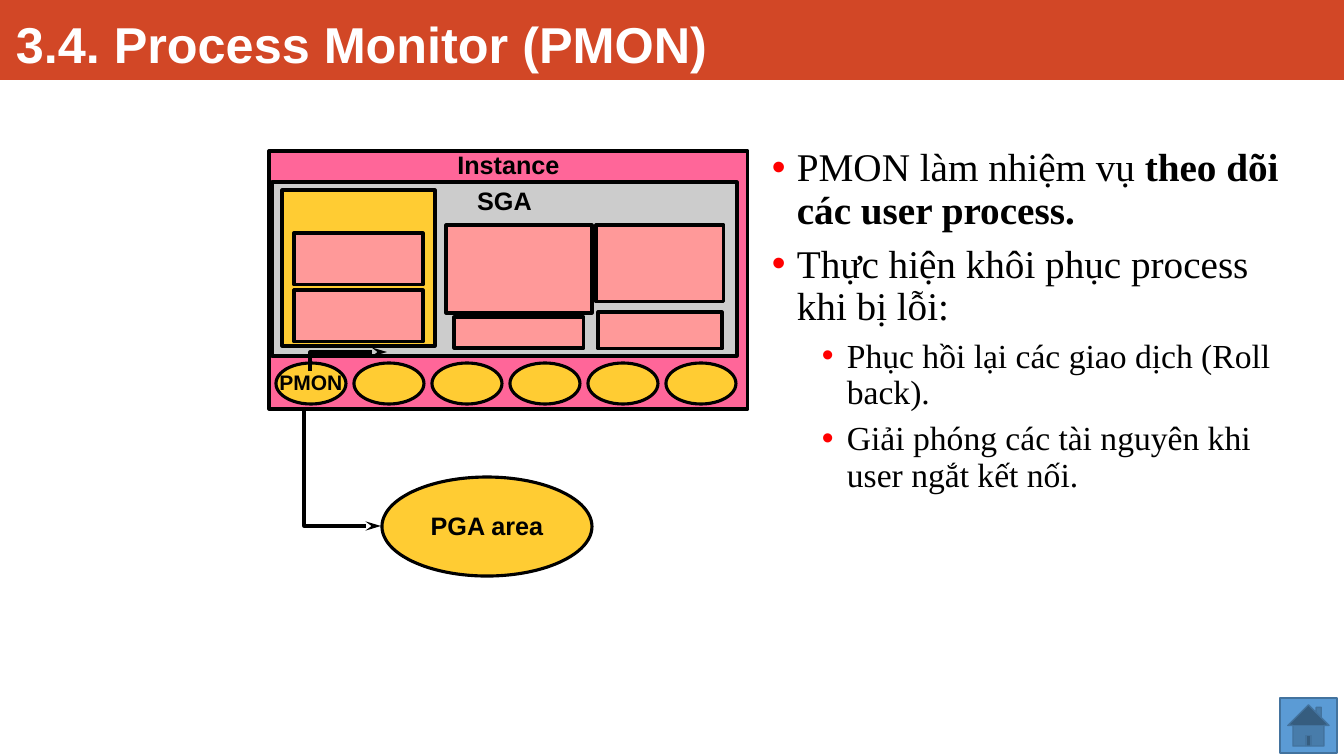
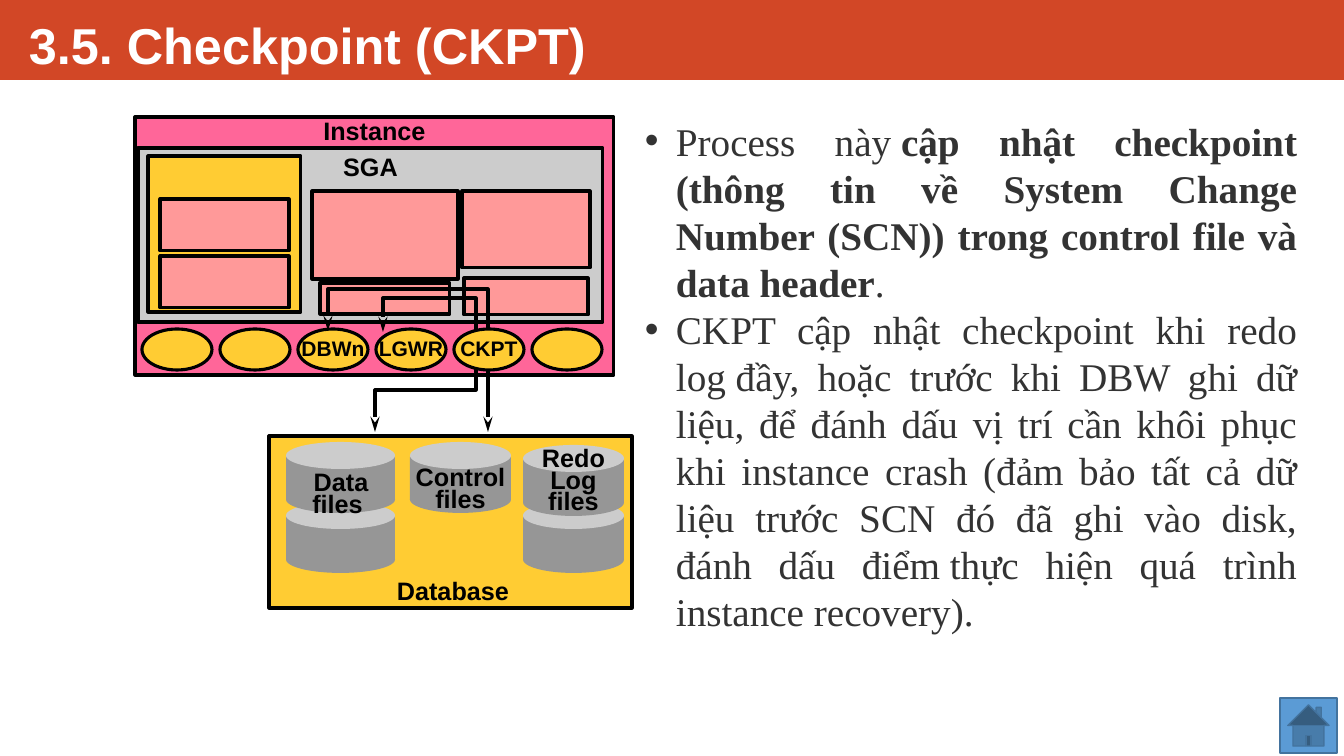
from lxml.etree import SubElement
from pptx import Presentation
from pptx.dml.color import RGBColor
from pptx.enum.shapes import MSO_SHAPE
from pptx.enum.text import MSO_ANCHOR, PP_ALIGN
from pptx.oxml.ns import qn
from pptx.util import Pt

PX = 12192000 / 1344  # EMU per pixel
RECT, OVAL = MSO_SHAPE.RECTANGLE, MSO_SHAPE.OVAL
BLACK, WHITE, YELLOW = "000000", "FFFFFF", "FFCC33"
MAGENTA, PINK, LIGHT, GREY = "FF6699", "FF9999", "CCCCCC", "969696"
OUTLINE = 2.25


def write(p, runs, size, color=BLACK, font="Arial", align=PP_ALIGN.CENTER, spacing=0.95):
    p.alignment, p.line_spacing = align, spacing
    for text, bold in runs:
        r = p.add_run()
        r.text = text
        r.font.name, r.font.size, r.font.bold = font, Pt(size), bold
        r.font.color.rgb = RGBColor.from_string(color)


def draw(s, kind, box, fill, line=BLACK, weight=OUTLINE, label="", size=18, top=None):
    sp = s.shapes.add_shape(kind, *[round(v * PX) for v in box])
    sp.shadow.inherit = False
    sp.fill.solid()
    sp.fill.fore_color.rgb = RGBColor.from_string(fill)
    if line:
        sp.line.color.rgb = RGBColor.from_string(line)
        sp.line.width = Pt(weight)
    else:
        sp.line.fill.background()
    if label:
        tf = sp.text_frame
        tf.word_wrap = False
        tf.margin_left = tf.margin_right = tf.margin_bottom = round(5 * PX)
        tf.margin_top = round((5 if top is None else top) * PX)
        tf.vertical_anchor = MSO_ANCHOR.MIDDLE if top is None else MSO_ANCHOR.TOP
        write(tf.paragraphs[0], [(label, True)], size)


prs = Presentation()
prs.slide_width, prs.slide_height = round(1344 * PX), round(756 * PX)

# Each body paragraph: runs, size, text indent
pages = [
    dict(
        title="3.4. Process Monitor (PMON)", title_box=(6, 0, 1075, 79),
        instance=(269, 151), processes=["PMON", "", "", "", "", ""],
        routes=[(["tailEnd"], [(304, 411), (304, 526), (381, 526)]),
                (["tailEnd"], [(310, 371), (310, 352), (387, 352)])],
        body_box=(762, 143, 548, 365), color=BLACK, bullet="FF0000", hang=25,
        align=PP_ALIGN.LEFT, spacing=0.9, before=0.3,
        body=[
            ([("PMON làm nhiệm vụ\u00a0", False), ("theo dõi các user process.", True)], 28, 25),
            ([("Thực hiện khôi phục process khi bị lỗi:", False)], 28, 25),
            ([("Phục hồi lại các giao dịch (Roll back).", False)], 24, 75),
            ([("Giải phóng các tài nguyên khi user ngắt kết nối.", False)], 24, 75),
        ],
    ),
    dict(
        title="3.5. Checkpoint (CKPT)", title_box=(19, 0, 1304, 80),
        instance=(135, 117), processes=["", "", "DBWn", "LGWR", "CKPT", ""],
        routes=[(["headEnd", "tailEnd"], [(328, 331), (328, 289), (488, 289), (488, 432)]),
                (["headEnd", "tailEnd"], [(383, 332), (383, 298), (476, 298), (476, 390),
                                          (375, 390), (375, 432)])],
        body_box=(635, 112, 672, 532), color="333333", bullet="333333", hang=31,
        align=PP_ALIGN.JUSTIFY, spacing=1.0, before=0,
        body=[
            ([("Process này\u00a0", False),
              ("cập nhật checkpoint (thông tin về System Change Number (SCN)) "
               "trong control file và data header", True), (".", False)], 28, 31),
            ([("CKPT cập nhật checkpoint khi redo log\u00a0đầy, hoặc trước khi DBW ghi dữ liệu, "
               "để đánh dấu vị trí cần khôi phục khi instance crash (đảm bảo tất cả dữ liệu "
               "trước SCN đó đã ghi vào disk, đánh dấu điểm\u00a0thực hiện quá trình "
               "instance recovery).", False)], 28, 31),
        ],
    ),
]

# Memory blocks inside the SGA, measured from the instance corner
blocks = [
    ((327, 74, 128, 77), PINK), ((13, 39, 153, 156), YELLOW),
    ((25, 139, 129, 52), PINK), ((25, 82, 129, 52), PINK),
    ((177, 74, 146, 88), PINK), ((185, 166, 130, 31), PINK), ((329, 161, 124, 37), PINK),
]

for page in pages:
    s = prs.slides.add_slide(prs.slide_layouts[6])

    # Title band and home button
    draw(s, RECT, (0, 0, 1344, 80), "D24726", None)
    draw(s, MSO_SHAPE.ACTION_BUTTON_HOME, (1280, 698, 57, 55), "5B9BD5", "43739E", 1)
    tf = s.shapes.add_textbox(*[round(v * PX) for v in page["title_box"]]).text_frame
    tf.word_wrap = True
    tf.vertical_anchor = MSO_ANCHOR.BOTTOM
    write(tf.paragraphs[0], [(page["title"], True)], 36, WHITE,
          align=PP_ALIGN.LEFT, spacing=0.9)

    # Instance with its SGA
    x0, y0 = page["instance"]
    draw(s, RECT, (x0, y0, 479, 258), MAGENTA, label="Instance", top=1)
    draw(s, RECT, (x0 + 3, y0 + 31, 465, 174), LIGHT, label="SGA", top=6)
    for (x, y, w, h), fill in blocks:
        draw(s, RECT, (x0 + x, y0 + y, w, h), fill)

    # Background processes; the routes run behind the fifth one
    for i, name in enumerate(page["processes"]):
        if i == 4:
            for ends, (start, *rest) in page["routes"]:
                fb = s.shapes.build_freeform(*start, scale=PX)
                fb.add_line_segments(rest, close=False)
                sp = fb.convert_to_shape()
                sp.shadow.inherit = False
                sp.fill.background()
                sp.line.color.rgb = RGBColor.from_string(BLACK)
                sp.line.width = Pt(OUTLINE)
                ln = sp.element.spPr.find(qn("a:ln"))
                for end in ends:
                    SubElement(ln, qn("a:" + end), type="stealth", w="med", len="lg")
        draw(s, OVAL, (x0 + 7 + 78 * i, y0 + 212, 70, 41), YELLOW, label=name, size=15)

    # Bulleted text
    tf = s.shapes.add_textbox(*[round(v * PX) for v in page["body_box"]]).text_frame
    tf.word_wrap = True
    for i, (runs, size, indent) in enumerate(page["body"]):
        p = tf.add_paragraph() if i else tf.paragraphs[0]
        write(p, runs, size, page["color"], "Times New Roman", page["align"], page["spacing"])
        p.space_before = Pt(size * page["before"])
        p.level = int(indent > page["hang"])
        pPr = p._p.get_or_add_pPr()
        pPr.set("marL", str(round(indent * PX)))
        pPr.set("indent", str(round(-page["hang"] * PX)))
        SubElement(SubElement(pPr, qn("a:buClr")), qn("a:srgbClr"), val=page["bullet"])
        SubElement(pPr, qn("a:buFont"), typeface="Arial")
        SubElement(pPr, qn("a:buChar"), char="•")

# PGA area on the first slide
pmon, ckpt = prs.slides
draw(pmon, OVAL, (382, 477, 210, 99), YELLOW, label="PGA area")

# Database on the second slide: cylinders, lower ones first
draw(ckpt, RECT, (269, 436, 363, 172), YELLOW)
for x, y, w in [(410, 442, 101), (286, 502, 109), (286, 442, 109),
                (523, 502, 101), (523, 445, 101)]:
    draw(ckpt, RECT, (x, y + 15, w, 43), GREY, None)
    draw(ckpt, OVAL, (x, y, w, 27), LIGHT, None)
    draw(ckpt, OVAL, (x, y + 44, w, 27), GREY, None)

for text, box, spacing in [("Control files", (396, 464, 129, 53), 0.7),
                           ("Data files ", (279, 469, 124, 53), 0.7),
                           ("Redo Log files", (516, 445, 115, 75), 0.7),
                           ("Database", (377, 569, 152, 40), 1.0)]:
    tf = ckpt.shapes.add_textbox(*[round(v * PX) for v in box]).text_frame
    tf.word_wrap = True
    tf.margin_left = tf.margin_right = round(11 * PX)
    tf.margin_top = tf.margin_bottom = round(6 * PX)
    write(tf.paragraphs[0], [(text, True)], 18, spacing=spacing)

prs.save("out.pptx")
